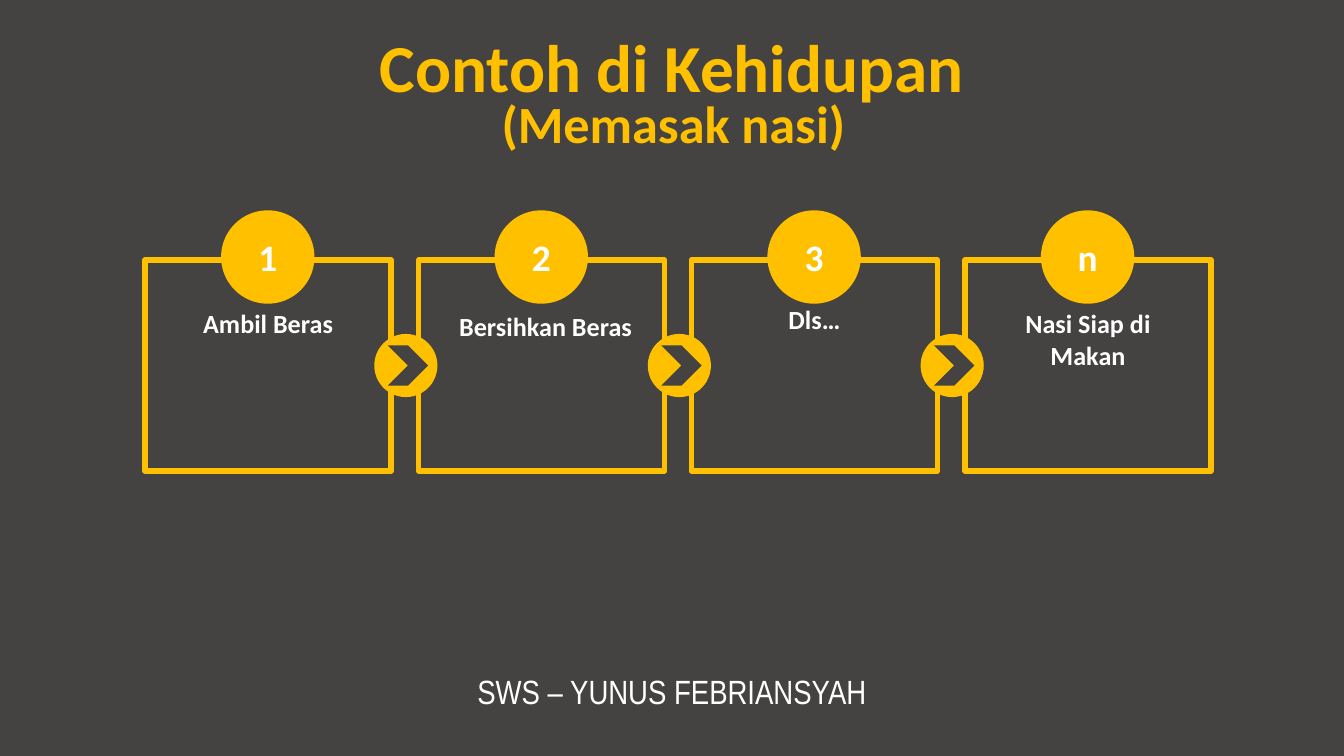
from dataclasses import dataclass

from pptx import Presentation
from pptx.dml.color import RGBColor
from pptx.enum.shapes import MSO_SHAPE
from pptx.enum.text import MSO_ANCHOR, PP_ALIGN
from pptx.util import Pt

PX = 4572


@dataclass(frozen=True)
class Theme:
    dark: RGBColor = RGBColor(0x44, 0x43, 0x42)
    accent: RGBColor = RGBColor(0xFF, 0xC0, 0x00)
    light: RGBColor = RGBColor(0xFF, 0xFF, 0xFF)
    font: str = "Calibri"
    footer_font: str = "Arial Narrow"
    title: int = 36
    subtitle: int = 28
    number: int = 20
    label: int = 14
    footer: int = 18
    border: int = 3


THEME = Theme()


def emu(*lengths):
    return [length * PX for length in lengths]


def write(shape, text, size, color, font=THEME.font, bold=True, anchor=MSO_ANCHOR.MIDDLE):
    frame = shape.text_frame
    frame.word_wrap = True
    frame.vertical_anchor = anchor
    line = frame.paragraphs[0]
    line.alignment = PP_ALIGN.CENTER
    run = line.add_run()
    run.text = text
    run.font.size = Pt(size)
    run.font.name = font
    run.font.bold = bold
    run.font.color.rgb = color


def add_solid(shapes, kind, box, color):
    solid = shapes.add_shape(kind, *emu(*box))
    solid.shadow.inherit = False
    solid.fill.solid()
    solid.fill.fore_color.rgb = color
    solid.line.fill.background()
    return solid


def add_heading(slide, left, top, width, height):
    title = slide.shapes.add_textbox(*emu(left, top, width, height))
    write(title, "Contoh di Kehidupan", THEME.title, THEME.accent)
    subtitle = slide.shapes.add_textbox(*emu(left + 2, top + 86, width, height))
    write(subtitle, "(Memasak nasi)", THEME.subtitle, THEME.accent)


def add_step(slide, left, top, width, height, number, label, label_box):
    card = slide.shapes.add_group_shape().shapes
    frame = card.add_shape(MSO_SHAPE.RECTANGLE, *emu(left, top, width, height))
    frame.shadow.inherit = False
    frame.fill.background()
    frame.line.color.rgb = THEME.accent
    frame.line.width = Pt(THEME.border)
    badge = add_solid(card, MSO_SHAPE.OVAL, (left + 113, top - 74, 139, 139), THEME.accent)
    write(badge, number, THEME.number, THEME.light)

    dx, dy, label_width, label_height = label_box
    caption = slide.shapes.add_textbox(*emu(left + dx, top + dy, label_width, label_height))
    write(caption, label, THEME.label, THEME.light, anchor=MSO_ANCHOR.TOP)


def add_arrow(slide, left, top, size):
    arrow = slide.shapes.add_group_shape().shapes
    add_solid(arrow, MSO_SHAPE.OVAL, (left, top, size, size), THEME.accent)
    add_solid(arrow, MSO_SHAPE.CHEVRON, (left + 20, top + 17, 60, 60), THEME.dark)


def add_process(slide, left, top, width, height):
    steps = [
        ("1", "Ambil Beras", (28, 61, 310, 70)),
        ("2", "Bersihkan Beras", (5, 65, 368, 68)),
        ("3", "Dls…", (1, 54, 364, 68)),
        ("n", "Nasi Siap di Makan", (28, 61, 310, 114)),
    ]
    card_width = 366
    pitch = (width - card_width) / (len(steps) - 1)
    lefts = [left + round(i * pitch) for i in range(len(steps))]
    for card_left, step in zip(lefts, steps):
        add_step(slide, card_left, top, card_width, height, *step)
    for card_left in lefts[:-1]:
        add_arrow(slide, card_left + 341, top + 110, 94)


def add_footer(slide, left, top, width, height):
    author = slide.shapes.add_textbox(*emu(left, top, width, height))
    write(author, "SWS – YUNUS FEBRIANSYAH", THEME.footer, THEME.light,
          font=THEME.footer_font, bold=False, anchor=MSO_ANCHOR.TOP)


def main():
    deck = Presentation()
    deck.slide_width, deck.slide_height = emu(2000, 1125)
    slide = deck.slides.add_slide(deck.slide_layouts[6])
    background = slide.background.fill
    background.solid()
    background.fore_color.rgb = THEME.dark
    add_footer(slide, 575, 988, 850, 80)
    add_heading(slide, 0, 34, 2000, 126)
    add_process(slide, 216, 387, 1586, 314)
    deck.save("out.pptx")


if __name__ == "__main__":
    main()
